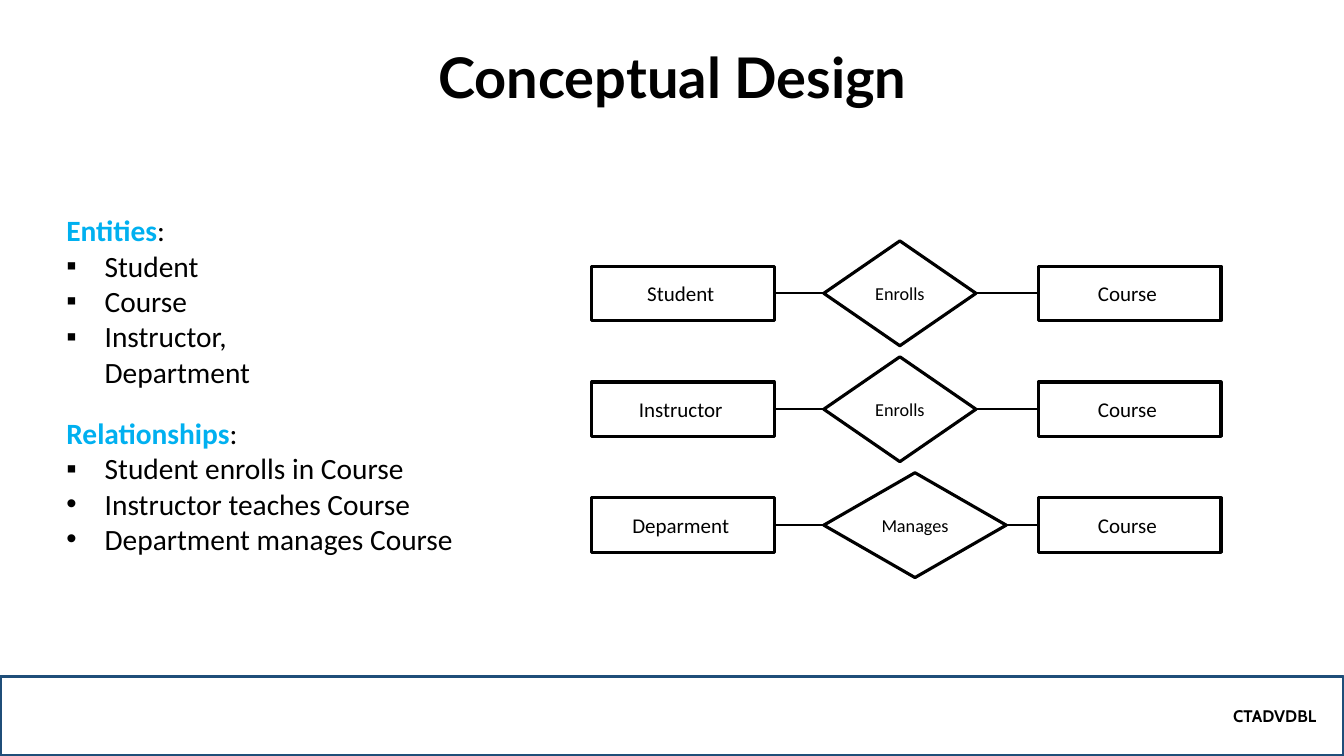
from dataclasses import dataclass

import pptx
import pptx.util
import pptx.dml.color
import pptx.enum.shapes
import pptx.enum.text
import pptx.oxml.ns
from lxml import etree

Inches = pptx.util.Inches
Pt = pptx.util.Pt
RGBColor = pptx.dml.color.RGBColor
Kind = pptx.enum.shapes.MSO_SHAPE
Align = pptx.enum.text.PP_ALIGN
Anchor = pptx.enum.text.MSO_ANCHOR
qn = pptx.oxml.ns.qn

BLACK = RGBColor(0x00, 0x00, 0x00)
WHITE = RGBColor(0xFF, 0xFF, 0xFF)
CYAN = RGBColor(0x00, 0xB0, 0xF0)
NAVY = RGBColor(0x1F, 0x4E, 0x79)

WIDTH, HEIGHT = 13.33, 7.5
LEFT_X, LINK_X, RIGHT_X = 5.87, 8.17, 10.3
BOX_W, BOX_H, LINK_H = 1.81, 0.54, 1.04
FIRST_Y, STEP = 2.91, 1.15


@dataclass
class Relation:
    left: str
    verb: str
    right: str
    width: float


@dataclass
class Section:
    head: str
    items: list[tuple[str, str]]
    top: float
    width: float
    height: float


RELATIONS = [
    Relation("Student ", "Enrolls", "Course ", 1.51),
    Relation("Instructor ", "Enrolls", "Course ", 1.51),
    Relation("Deparment ", "Manages", "Course ", 1.81),
]

SECTIONS = [
    Section(
        "Entities",
        [("▪", "Student"), ("▪", "Course"), ("▪", "Instructor, Department")],
        2.06, 3.17, 1.87,
    ),
    Section(
        "Relationships",
        [
            ("▪", "Student enrolls in Course"),
            ("•", "Instructor teaches Course"),
            ("•", "Department manages Course"),
        ],
        4.07, 4.05, 1.51,
    ),
]


def style(run, size: float, face: str = "Calibri", bold: bool = False,
          color: RGBColor = BLACK) -> None:
    run.font.size = Pt(size)
    run.font.name = face
    run.font.bold = bold
    run.font.color.rgb = color


def add_node(slide, kind, x: float, y: float, w: float, h: float,
             text: str, size: float):
    node = slide.shapes.add_shape(kind, Inches(x), Inches(y), Inches(w), Inches(h))
    node.shadow.inherit = False
    node.fill.solid()
    node.fill.fore_color.rgb = WHITE
    node.line.color.rgb = BLACK
    node.line.width = Pt(2.25)
    frame = node.text_frame
    frame.word_wrap = True
    frame.vertical_anchor = Anchor.MIDDLE
    frame.text = text
    frame.paragraphs[0].alignment = Align.CENTER
    style(frame.paragraphs[0].runs[0], size)
    return node


def add_link(slide, start: float, end: float, y: float) -> None:
    link = slide.shapes.add_connector(
        pptx.enum.shapes.MSO_CONNECTOR.STRAIGHT,
        Inches(start), Inches(y), Inches(end), Inches(y),
    )
    link.line.color.rgb = BLACK
    link.line.width = Pt(1.5)
    etree.SubElement(link._element.spPr, qn("a:effectLst"))


def add_relation(slide, item: Relation, mid: float) -> None:
    add_link(slide, LEFT_X + BOX_W, LINK_X, mid)
    add_link(slide, LINK_X + item.width, RIGHT_X, mid)
    for x, text in ((LEFT_X, item.left), (RIGHT_X, item.right)):
        add_node(slide, Kind.RECTANGLE, x, mid - BOX_H / 2, BOX_W, BOX_H, text, 15)
    add_node(slide, Kind.DIAMOND, LINK_X, mid - LINK_H / 2, item.width, LINK_H,
             item.verb, 13)


def add_text(slide, x: float, y: float, w: float, h: float):
    box = slide.shapes.add_textbox(Inches(x), Inches(y), Inches(w), Inches(h))
    box.text_frame.word_wrap = True
    return box.text_frame


def add_bullet(para, mark: str) -> None:
    props = para._p.get_or_add_pPr()
    props.set("marL", str(Inches(0.38)))
    props.set("indent", str(Inches(-0.38)))
    etree.SubElement(props, qn("a:buFont")).set("typeface", "Arial")
    etree.SubElement(props, qn("a:buChar")).set("char", mark)


def add_section(slide, part: Section) -> None:
    frame = add_text(slide, 0.56, part.top, part.width, part.height)
    frame.text = part.head
    head = frame.paragraphs[0]
    style(head.runs[0], 21, bold=True, color=CYAN)
    colon = head.add_run()
    colon.text = ":"
    style(colon, 21)
    for mark, text in part.items:
        para = frame.add_paragraph()
        para.text = text
        style(para.runs[0], 21)
        add_bullet(para, mark)


def add_title(slide) -> None:
    frame = add_text(slide, 1.67, 0.21, 10, 0.94)
    frame.vertical_anchor = Anchor.BOTTOM
    frame.text = "Conceptual Design"
    para = frame.paragraphs[0]
    para.alignment = Align.CENTER
    para.line_spacing = 0.9
    style(para.runs[0], 40, "Lato", True)


def add_footer(slide) -> None:
    bar = add_node(slide, Kind.RECTANGLE, 0, 6.71, WIDTH, 0.79, "CTADVDBL\t", 12)
    bar.fill.background()
    bar.line.color.rgb = NAVY
    para = bar.text_frame.paragraphs[0]
    para.alignment = Align.RIGHT
    style(para.runs[0], 12, "Cabin", True)


def main() -> None:
    deck = pptx.Presentation()
    deck.slide_width = Inches(WIDTH)
    deck.slide_height = Inches(HEIGHT)
    slide = deck.slides.add_slide(deck.slide_layouts[6])
    add_footer(slide)
    for row, item in enumerate(RELATIONS):
        add_relation(slide, item, FIRST_Y + row * STEP)
    for part in SECTIONS:
        add_section(slide, part)
    add_title(slide)
    deck.save("out.pptx")


if __name__ == "__main__":
    main()
